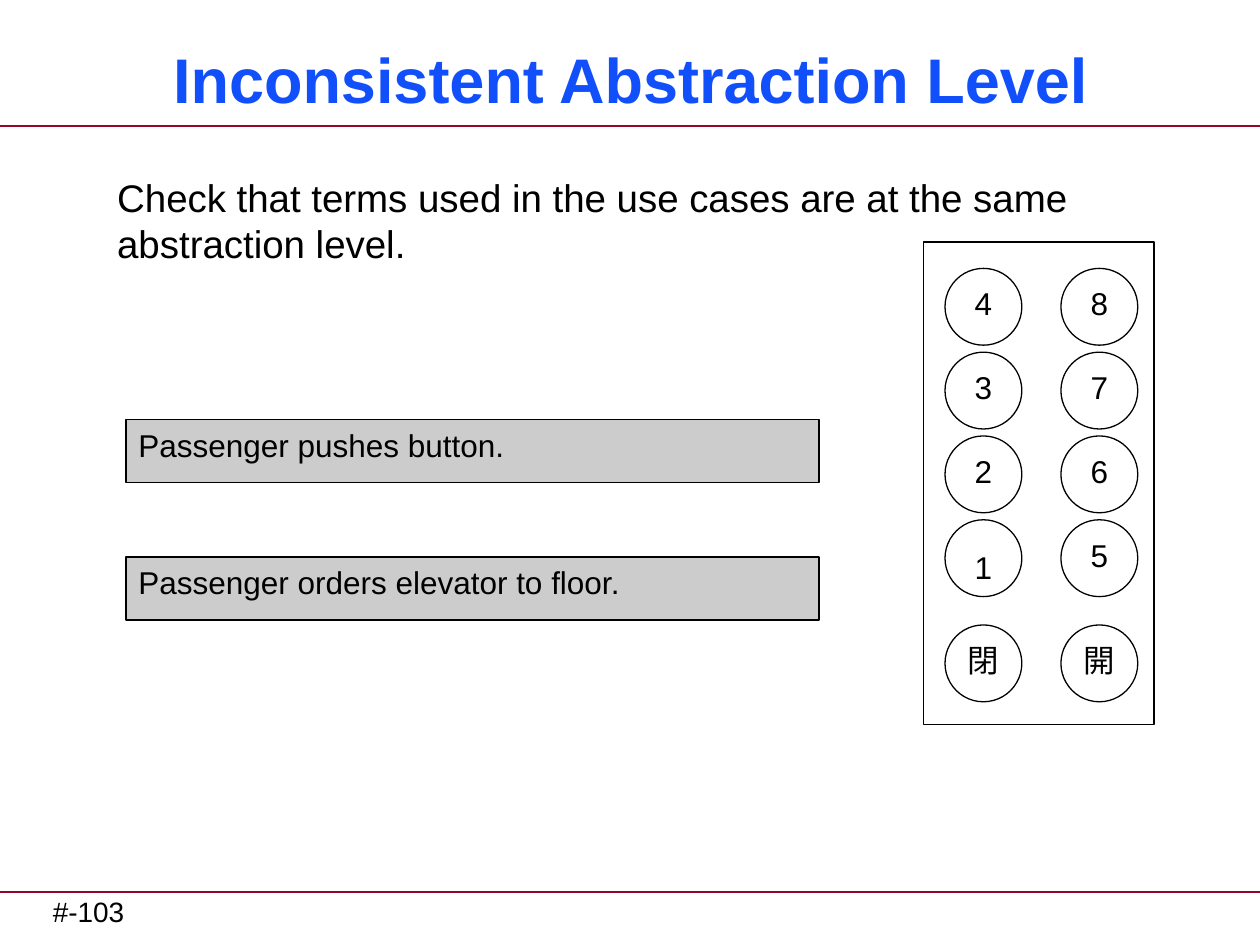
from lxml.etree import SubElement
from pptx import Presentation
from pptx.dml.color import RGBColor
from pptx.enum.shapes import MSO_CONNECTOR as Connector, MSO_SHAPE as Shape
from pptx.enum.text import MSO_ANCHOR as Anchor, MSO_AUTO_SIZE as AutoSize, PP_ALIGN as Align
from pptx.oxml.ns import qn
from pptx.util import Inches, Pt

TITLE = "Inconsistent Abstraction Level"
ADVICE = "Check that terms used in the use cases are at the same abstraction level."
PAGE_NUMBER = "#-103"
STEPS = [
    (3.33, "Passenger pushes button."),
    (4.42, "Passenger orders elevator to floor."),
]
BUTTON_ROWS = [("4", "8"), ("3", "7"), ("2", "6"), ("1", "5"), ("閉", "開")]
RULES = [1, 7.08]

BLACK, WHITE, BLUE, RED = "000000", "FFFFFF", "114FFB", "950728"
BUTTON_LEFT, BUTTON_TOP, BUTTON_SIZE = 7.5, 2.13, 0.61
COLUMN_STEP, ROW_STEP, DOOR_GAP = 0.92, 0.665, 0.17
LOW_LABEL = "1"


def color(value):
    return RGBColor.from_string(value)


def place(shape, left, top, width, height):
    shape.left, shape.top = Inches(left), Inches(top)
    shape.width, shape.height = Inches(width), Inches(height)


def write(shape, text, size, ink=BLACK, bold=False, align=Align.LEFT,
          anchor=Anchor.TOP, insets=(0.1, 0.05, 0.1, 0.05), wrap=True):
    frame = shape.text_frame
    frame.auto_size = AutoSize.NONE
    frame.word_wrap = wrap
    frame.vertical_anchor = anchor
    frame.margin_left, frame.margin_top, frame.margin_right, frame.margin_bottom = map(Inches, insets)
    para = frame.paragraphs[0]
    para.alignment = align
    para.space_before = Pt(0)
    span = para.add_run()
    span.text = text
    span.font.name = "Arial"
    span.font.size = Pt(size)
    span.font.bold = bold
    span.font.color.rgb = color(ink)
    return para


def add_outlined(shapes, kind, box, line_width):
    shape = shapes.add_shape(kind, *map(Inches, box))
    shape.shadow.inherit = False
    shape.line.color.rgb = color(BLACK)
    shape.line.width = Pt(line_width)
    return shape


def add_rule(page, top):
    rule = page.shapes.add_connector(Connector.STRAIGHT, 0, Inches(top), Inches(10), Inches(top))
    rule.line.color.rgb = color(RED)
    rule.line.width = Pt(1.5)
    SubElement(rule._element.spPr, qn("a:effectLst"))


def add_button(group, row, column, label):
    door = row == len(BUTTON_ROWS) - 1
    left = BUTTON_LEFT + column * COLUMN_STEP
    top = BUTTON_TOP + row * ROW_STEP + door * DOOR_GAP
    button = add_outlined(group.shapes, Shape.OVAL, (left, top, BUTTON_SIZE, BUTTON_SIZE), 0.75)
    button.fill.solid()
    button.fill.fore_color.rgb = color(WHITE)
    inset_top = 0.24 if label == LOW_LABEL else 0.05
    para = write(button, label, 18, align=Align.CENTER, anchor=Anchor.MIDDLE,
                 insets=(0.05, inset_top, 0.05, 0.05), wrap=False)
    para.line_spacing = 0.8


def add_step(page, top, text):
    step = add_outlined(page.shapes, Shape.RECTANGLE, (1, top, 5.5, 0.5), 1)
    step.fill.solid()
    step.fill.fore_color.rgb = color(BLACK)
    tint = step._element.spPr.find(qn("a:solidFill"))[0]
    SubElement(tint, qn("a:alpha"), val="20000")
    write(step, text, 18)


def main():
    deck = Presentation()
    deck.slide_width, deck.slide_height = Inches(10), Inches(7.5)
    page = deck.slides.add_slide(deck.slide_layouts[1])

    for top in RULES:
        add_rule(page, top)
    number = page.shapes.add_textbox(Inches(0.42), Inches(7.05), Inches(4.83), Inches(0.37))
    write(number, PAGE_NUMBER, 16, insets=(0, 0.05, 0, 0.05))

    title, body = page.placeholders
    place(title, 0.17, 0.25, 9.67, 0.75)
    write(title, TITLE, 36, BLUE, bold=True, align=Align.CENTER, anchor=Anchor.MIDDLE)
    place(body, 0.83, 1.33, 8.83, 5.58)
    properties = write(body, ADVICE, 22)._p.get_or_add_pPr()
    properties.set("marL", "0")
    properties.set("indent", "0")
    SubElement(properties, qn("a:buNone"))

    buttons = page.shapes.add_group_shape()
    for row, labels in enumerate(BUTTON_ROWS):
        for column, label in enumerate(labels):
            add_button(buttons, row, column, label)
    panel = add_outlined(page.shapes, Shape.RECTANGLE, (7.33, 1.92, 1.83, 3.83), 0.75)
    panel.fill.background()
    for top, text in STEPS:
        add_step(page, top, text)

    deck.save("out.pptx")


if __name__ == "__main__":
    main()
